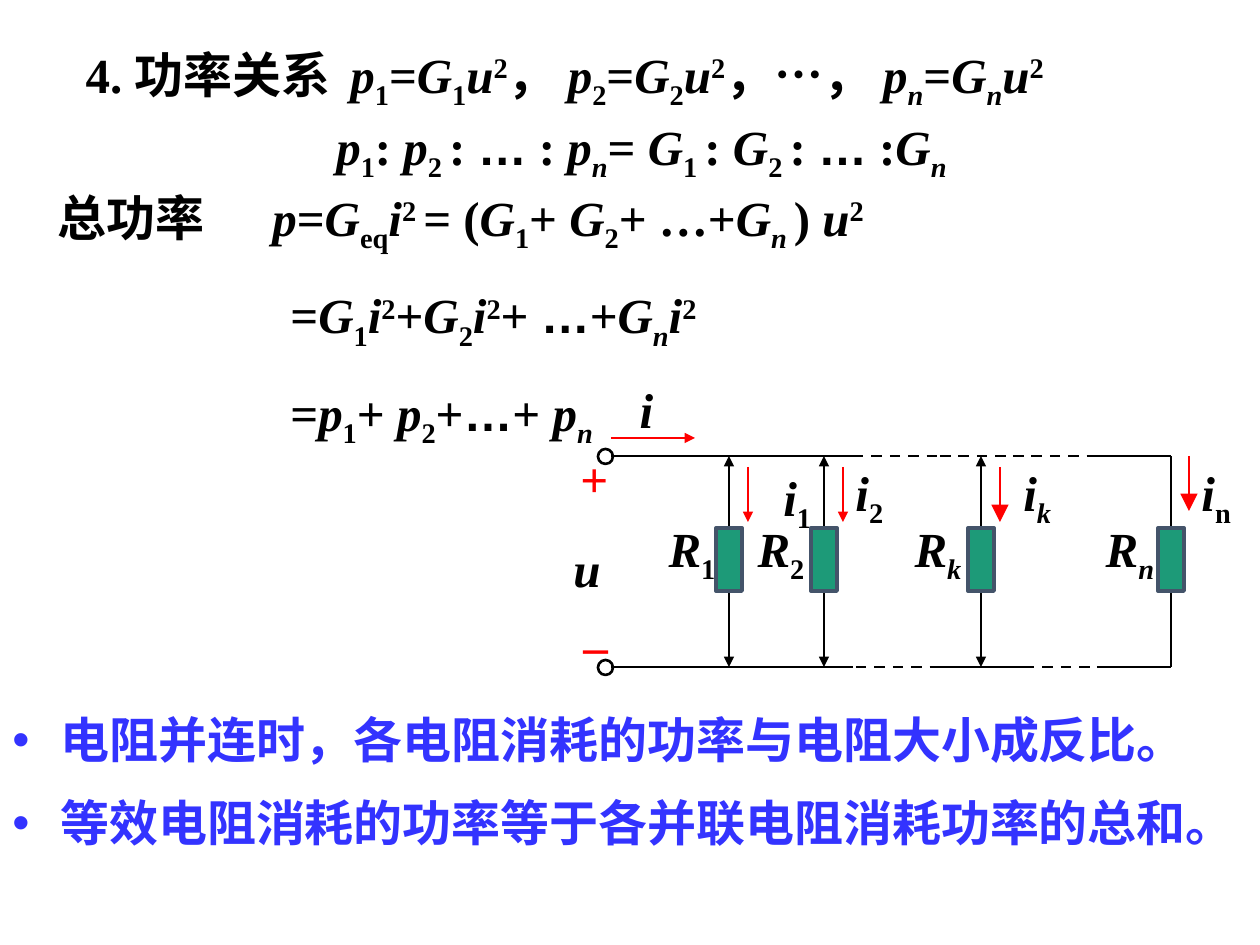
from lxml.etree import SubElement
from pptx import Presentation
from pptx.dml.color import RGBColor
from pptx.enum.dml import MSO_LINE
from pptx.enum.shapes import MSO_CONNECTOR, MSO_SHAPE
from pptx.enum.text import MSO_ANCHOR as ANCHOR, MSO_AUTO_SIZE, PP_ALIGN as ALIGN
from pptx.oxml.ns import qn
from pptx.util import Pt

PX = 914400 / 126
BLACK, RED, BLUE = "000000", "FF0000", "3333FF"


def px(n):
    return round(n * PX)


def rgb(color):
    return RGBColor.from_string(color)


def var(name, sub):
    """Italic symbol with a subscript; a letter index is italic too."""
    return [(name, "i"), (sub, "i_" if sub.strip() in ("n", "k") else "_")]


SQUARE = ("2", "^")
DOTS = ("…", "a")


class Painter:
    font, size = "Times New Roman", 28

    def __init__(self, slide):
        self.slide = slide

    def runs(self, p, parts, color=BLACK, font=None):
        """Style letters: i italic, a Arial, _ subscript, ^ superscript."""
        for text, style in parts:
            r = p.add_run()
            r.text = text
            f = r.font
            f.size, f.bold, f.italic = Pt(self.size), True, "i" in style
            f.name = "Arial" if "a" in style else font or self.font
            f.color.rgb = rgb(color)
            if "_" in style or "^" in style:
                f._element.set("baseline", "-25000" if "_" in style else "30000")

    def title(self, x, y, w, h, text):
        sp = self.slide.shapes.title
        sp.left, sp.top, sp.width, sp.height = map(px, (x, y, w, h))
        tf = sp.text_frame
        tf.auto_size, tf.vertical_anchor = MSO_AUTO_SIZE.NONE, ANCHOR.TOP
        tf.paragraphs[0].alignment = ALIGN.LEFT
        self.runs(tf.paragraphs[0], [(text, "")])

    def box(self, x, y, w, h, wrap=True):
        sp = self.slide.shapes.add_textbox(px(x), px(y), px(w), px(h))
        sp.text_frame.word_wrap = wrap
        return sp.text_frame

    def formula(self, x, y, w, h, parts):
        tf = self.box(x, y, w, h)
        self.runs(tf.paragraphs[0], parts)
        return tf

    def label(self, x, y, w, h, parts, color=BLACK):
        tf = self.box(x, y, w, h, wrap=False)
        tf.vertical_anchor = ANCHOR.MIDDLE
        tf.paragraphs[0].alignment = ALIGN.CENTER
        self.runs(tf.paragraphs[0], parts, color)

    def bullets(self, x, y, w, h, lines):
        tf = self.box(x, y, w, h)
        for i, text in enumerate(lines):
            p = tf.add_paragraph() if i else tf.paragraphs[0]
            pPr = p._p.get_or_add_pPr()
            pPr.set("marL", str(px(48)))
            pPr.set("indent", str(px(-48)))
            clr = SubElement(pPr, qn("a:buClr"))
            SubElement(clr, qn("a:srgbClr"), val=BLUE)
            SubElement(pPr, qn("a:buFont"), typeface="Arial")
            SubElement(pPr, qn("a:buChar"), char="•")
            p.line_spacing = 1.2
            if i:
                p.space_before = Pt(7)
            self.runs(p, [(text, "")], BLUE, "Arial")

    def line(self, x1, y1, x2, y2, color=BLACK, dash=False,
             head=False, tail=False, tip="med"):
        c = self.slide.shapes.add_connector(
            MSO_CONNECTOR.STRAIGHT, px(x1), px(y1), px(x2), px(y2))
        c.line.width, c.line.color.rgb = Pt(1.5), rgb(color)
        if dash:
            c.line.dash_style = MSO_LINE.DASH
        spPr = c._element.spPr
        ln = spPr.get_or_add_ln()
        for tag, wanted in (("a:headEnd", head), ("a:tailEnd", tail)):
            if wanted:
                SubElement(ln, qn(tag), type="triangle", w=tip, len=tip)
        SubElement(spPr, qn("a:effectLst"))

    def shape(self, kind, x, y, w, h, fill=None, line=BLACK, width=1.5):
        sp = self.slide.shapes.add_shape(kind, px(x), px(y), px(w), px(h))
        sp.shadow.inherit = False
        if fill:
            sp.fill.solid()
            sp.fill.fore_color.rgb = rgb(fill)
        else:
            sp.fill.background()
        sp.line.color.rgb, sp.line.width = rgb(line), Pt(width)


def formulas(d):
    d.title(73, 38, 284, 72, "4. 功率关系")

    def power(n):
        return var("p", n) + [("=", "")] + var("G", n) + [("u", "i"), SQUARE]

    d.formula(338, 38, 892, 79, power("1") + [("， ", "")] + power("2")
              + [("，", ""), DOTS, ("， ", "")] + power("n"))

    # Ratio of powers
    d.formula(324, 110, 756, 79,
              var("p", "1") + [(": ", "")] + var("p", "2 ")
              + [(": ", ""), DOTS, (" : ", "")] + var("p", "n") + [("= ", "")]
              + var("G", "1 ") + [(": ", "")] + var("G", "2 ")
              + [(": ", ""), DOTS, (" :", "")] + var("G", "n"))

    # Total power, with the continuation lines indented to the equals sign
    tf = d.formula(45, 181, 924, 373,
                   [("总功率\t", ""), ("p", "i"), ("=", "")] + var("G", "eq")
                   + [("i", "i"), ("2 ", "^"), ("= (", "")] + var("G", "1")
                   + [("+ ", "")] + var("G", "2") + [("+ …+", "")]
                   + var("G", "n ") + [(") ", ""), ("u", "i"), SQUARE])
    tabs = SubElement(tf.paragraphs[0]._p.get_or_add_pPr(), qn("a:tabLst"))
    SubElement(tabs, qn("a:tab"), pos=str(px(215)), algn="l")

    def term(n):
        return var("G", n) + [("i", "i"), SQUARE]

    for parts in (
        term("1") + [("+", "")] + term("2") + [("+ ", ""), DOTS, ("+", "")] + term("n"),
        var("p", "1") + [("+ ", "")] + var("p", "2")
        + [("+", ""), DOTS, ("+ ", "")] + var("p", "n"),
    ):
        p = tf.add_paragraph()
        p.space_before = Pt(17.5)
        p._p.get_or_add_pPr().set("marL", str(px(233)))
        d.runs(p, [("=", "")] + parts)


def circuit(d):
    top, bottom = 456, 667
    # Rails: start, end, dashed
    rails = {
        top: [(611, 853, False), (853, 937, True), (940, 1024, True),
              (1013, 1097, True), (1097, 1171, False)],
        bottom: [(611, 853, False), (856, 940, True), (940, 1024, False),
                 (1024, 1108, True), (1097, 1171, False)],
    }
    for y, parts in rails.items():
        for x1, x2, dash in parts:
            d.line(x1, y, x2, y, dash=dash)
        d.shape(MSO_SHAPE.OVAL, 598, y - 7, 15, 15)

    # Branches: index, wire x, R label x, current arrow x and y, tip, i label x and y
    branches = [
        ("1", 729, 648, 748, 467, "med", 771, 461),
        ("2", 824, 737, 843, 467, "med", 843, 456),
        ("k", 981, 894, 1000, 467, "lg", 1011, 456),
        ("n", 1171, 1086, 1189, 456, "lg", 1189, 456),
    ]
    for n, x, r_x, arrow_x, arrow_y, tip, i_x, i_y in branches:
        joined = n != "n"
        d.line(x, bottom, x, top, head=joined, tail=joined)
        d.shape(MSO_SHAPE.RECTANGLE, x - 13, 528, 26, 63, "1D9A78", "44546A", 2.25)
        d.label(r_x, 512, 88, 79, var("R", n))
        d.line(arrow_x, arrow_y, arrow_x, arrow_y + 55, RED, tail=True, tip=tip)
        current = var("i", n) if joined else [("i", "i"), ("n", "_")]
        d.formula(i_x, i_y, 71, 79, current)

    # Source current and voltage
    d.line(611, 438, 695, 438, RED, tail=True)
    d.label(627, 373, 39, 72, [("i", "i")])
    d.label(568, 442, 53, 72, [("+", "")], RED)
    d.label(561, 532, 52, 72, [("u", "i")])
    d.label(571, 592, 49, 72, [("_", "")], RED)


def main():
    prs = Presentation()
    prs.slide_width, prs.slide_height = px(1260), px(945)
    d = Painter(prs.slides.add_slide(prs.slide_layouts[5]))
    formulas(d)
    circuit(d)
    # Conclusions
    d.bullets(0, 692, 1260, 166, [
        "电阻并连时，各电阻消耗的功率与电阻大小成反比。",
        "等效电阻消耗的功率等于各并联电阻消耗功率的总和。",
    ])
    prs.save("out.pptx")


if __name__ == "__main__":
    main()
